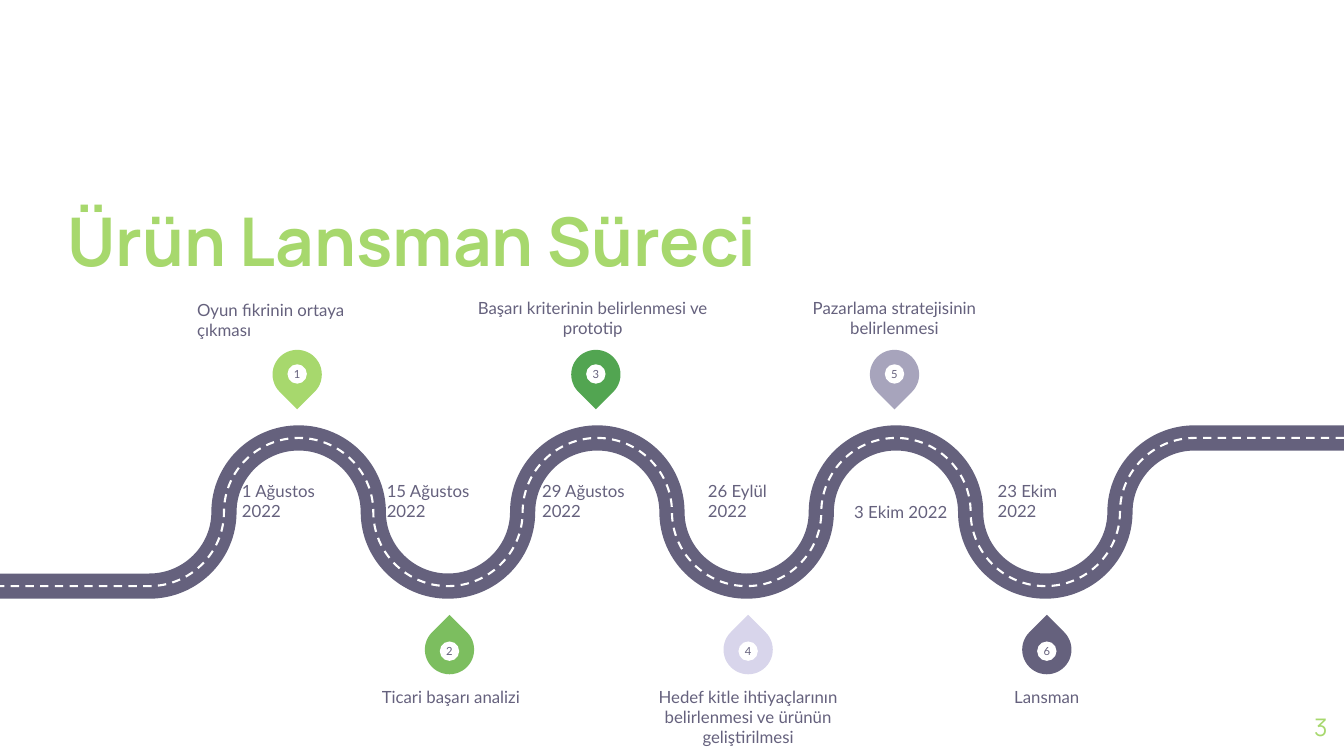
from dataclasses import dataclass
from typing import Any

import lxml.etree
import pptx
import pptx.dml.color
import pptx.enum.dml
import pptx.enum.shapes
import pptx.enum.text
import pptx.oxml.ns
import pptx.util

RGBColor = pptx.dml.color.RGBColor
Align = pptx.enum.text.PP_ALIGN
Anchor = pptx.enum.text.MSO_ANCHOR
Preset = pptx.enum.shapes.MSO_SHAPE

LIME = RGBColor(0xA7, 0xD8, 0x6D)
LEAF = RGBColor(0x7C, 0xBE, 0x5F)
GREEN = RGBColor(0x52, 0xA5, 0x51)
LILAC = RGBColor(0xD8, 0xD5, 0xEB)
GREY = RGBColor(0xA7, 0xA4, 0xBC)
SLATE = RGBColor(0x65, 0x61, 0x7D)
WHITE = RGBColor(0xFF, 0xFF, 0xFF)

# Grid: 9 columns by 15 rows
SLIDE_WIDTH = pptx.util.Inches(13.33)
SLIDE_HEIGHT = pptx.util.Inches(7.5)
COLUMN = SLIDE_WIDTH / 9
ROW = SLIDE_HEIGHT / 15

ROAD_MIDDLE = 10.16
ROAD_SWING = 1.47
QUARTER_ARCS = 14
ARC_PULL = 0.55
PIN_SIZE, DOT_SIZE = 0.33, 0.13

BODY = {"name": "Lato", "size": pptx.util.Pt(12), "bold": False}
NUMERAL = BODY | {"size": pptx.util.Pt(8)}
HEADING = {"name": "Manrope", "size": pptx.util.Pt(48), "bold": True}
PAGE_NUMBER = {"name": "Manrope", "size": pptx.util.Pt(17.3), "bold": False}


@dataclass(frozen=True)
class Area:
    """Left and width in columns, top and height in rows."""
    left: float
    top: float
    width: float
    height: float

    def emu(self) -> tuple[int, int, int, int]:
        return (round(self.left * COLUMN), round(self.top * ROW),
                round(self.width * COLUMN), round(self.height * ROW))


@dataclass(frozen=True)
class Milestone:
    caption: str
    caption_area: Area
    date: str
    date_area: Area
    color: RGBColor
    align: Any = Align.CENTER


MILESTONES = [
    Milestone("Oyun fikrinin ortaya çıkması", Area(1.32, 6.06, 1.35, 0.68),
              "1 Ağustos 2022", Area(1.62, 9.78, 0.74, 0.56), LIME, Align.LEFT),
    Milestone("Ticari başarı analizi", Area(2.23, 13.62, 1.58, 1.56),
              "15 Ağustos 2022", Area(2.59, 9.78, 0.84, 0.56), LEAF),
    Milestone("Başarı kriterinin belirlenmesi ve prototip", Area(3.18, 5.14, 1.58, 1.56),
              "29 Ağustos 2022", Area(3.63, 9.78, 0.84, 0.56), GREEN),
    Milestone("Hedef kitle ihtiyaçlarının belirlenmesi ve ürünün geliştirilmesi",
              Area(4.22, 13.62, 1.58, 1.56),
              "26 Eylül 2022", Area(4.74, 9.78, 0.66, 0.56), LILAC),
    Milestone("Pazarlama stratejisinin belirlenmesi", Area(5.2, 5.14, 1.58, 1.56),
              "3 Ekim 2022", Area(5.72, 9.7, 0.66, 0.66), GREY),
    Milestone("Lansman", Area(6.22, 13.62, 1.58, 1.56),
              "23 Ekim 2022", Area(6.68, 9.86, 0.66, 0.48), SLATE),
]


def write(box: Any, text: str, style: dict[str, Any], color: RGBColor,
          align: Any, anchor: Any) -> None:
    frame = box.text_frame
    layout = {"word_wrap": True, "auto_size": pptx.enum.text.MSO_AUTO_SIZE.NONE,
              "vertical_anchor": anchor, "margin_left": 0, "margin_right": 0,
              "margin_top": 0, "margin_bottom": 0}
    for name, value in layout.items():
        setattr(frame, name, value)
    para = frame.paragraphs[0]
    para.alignment = align
    span = para.add_run()
    span.text = text
    for name, value in style.items():
        setattr(span.font, name, value)
    span.font.color.rgb = color


def add_text(page: Any, area: Area, text: str, style: dict[str, Any],
             color: RGBColor, align: Any, anchor: Any) -> None:
    write(page.shapes.add_textbox(*area.emu()), text, style, color, align, anchor)


def road_points() -> list[tuple[int, int]]:
    """Ends of the straights and quarter arcs, from the right edge to the left."""
    heights = [-1, 0, 1, 0]
    bends = [(8 - step / 2, ROAD_MIDDLE + ROAD_SWING * heights[step % 4])
             for step in range(QUARTER_ARCS + 1)]
    points = [(9, bends[0][1]), *bends, (0, bends[-1][1])]
    return [(round(x * COLUMN), round(y * ROW)) for x, y in points]


def round_bends(road: Any) -> None:
    """Turn each segment between the two straights into a quarter arc."""
    qn = pptx.oxml.ns.qn
    segments = list(road.element.iter(qn("a:lnTo")))
    ends = [(int(segment[0].get("x")), int(segment[0].get("y"))) for segment in segments]
    for index, segment in enumerate(segments[1:-1]):
        (x1, y1), (x2, y2) = ends[index], ends[index + 1]
        pull_x, pull_y = ARC_PULL * (x2 - x1), ARC_PULL * (y2 - y1)
        if index % 2 == 0:
            controls = [(x1 + pull_x, y1), (x2, y2 - pull_y)]
        else:
            controls = [(x1, y1 + pull_y), (x2 - pull_x, y2)]
        segment.tag = qn("a:cubicBezTo")
        for place, (x, y) in enumerate(controls):
            point = lxml.etree.Element(qn("a:pt"), x=str(round(x)), y=str(round(y)))
            segment.insert(place, point)


def add_road(page: Any, color: RGBColor, weight: float, dash: Any) -> None:
    start, *rest = road_points()
    builder = page.shapes.build_freeform(*start)
    builder.add_line_segments(rest, close=False)
    road = builder.convert_to_shape()
    round_bends(road)
    road.shadow.inherit = False
    road.fill.background()
    road.line.color.rgb = color
    road.line.width = pptx.util.Pt(weight)
    if dash is not None:
        road.line.dash_style = dash


def add_round(group: Any, preset: Any, column: float, row: float,
              size: float, color: RGBColor) -> Any:
    side = round(size * COLUMN)
    shape = group.shapes.add_shape(preset, round(column * COLUMN - side / 2),
                                   round(row * ROW - side / 2), side, side)
    shape.shadow.inherit = False
    shape.fill.solid()
    shape.fill.fore_color.rgb = color
    shape.line.fill.background()
    return shape


def add_milestone(page: Any, number: int, stone: Milestone) -> None:
    above = number % 2 == 1
    column = number + 1 + (-0.01 if above else 0.01)
    pin_row, dot_row = (7.43, 7.42) if above else (12.89, 12.92)
    # Pin with its number
    group = page.shapes.add_group_shape()
    pin = add_round(group, Preset.TEAR, column, pin_row, PIN_SIZE, stone.color)
    pin.rotation = 135 if above else 315
    dot = add_round(group, Preset.OVAL, column, dot_row, DOT_SIZE, WHITE)
    write(dot, str(number), NUMERAL, SLATE, Align.CENTER, Anchor.MIDDLE)
    # Caption and date
    add_text(page, stone.caption_area, stone.caption, BODY, SLATE, stone.align,
             Anchor.BOTTOM if above else Anchor.TOP)
    add_text(page, stone.date_area, stone.date, BODY, SLATE, Align.LEFT, Anchor.BOTTOM)


def main() -> None:
    deck = pptx.Presentation()
    deck.slide_width, deck.slide_height = SLIDE_WIDTH, SLIDE_HEIGHT
    page = deck.slides.add_slide(deck.slide_layouts[5])

    # Title and page number
    title = page.shapes.title
    title.left, title.top, title.width, title.height = Area(0.45, 3.05, 6.2, 2.5).emu()
    write(title, "Ürün Lansman Süreci", HEADING, LIME, Align.LEFT, Anchor.BOTTOM)
    add_text(page, Area(8.35, 13.86, 0.54, 1.14), "3", PAGE_NUMBER, LIME,
             Align.RIGHT, Anchor.MIDDLE)

    # Road surface and lane marking
    add_road(page, SLATE, 18, None)
    add_road(page, WHITE, 1.5, pptx.enum.dml.MSO_LINE.DASH)

    # Milestones along the road
    for number, stone in enumerate(MILESTONES, start=1):
        add_milestone(page, number, stone)

    deck.save("out.pptx")


if __name__ == "__main__":
    main()
